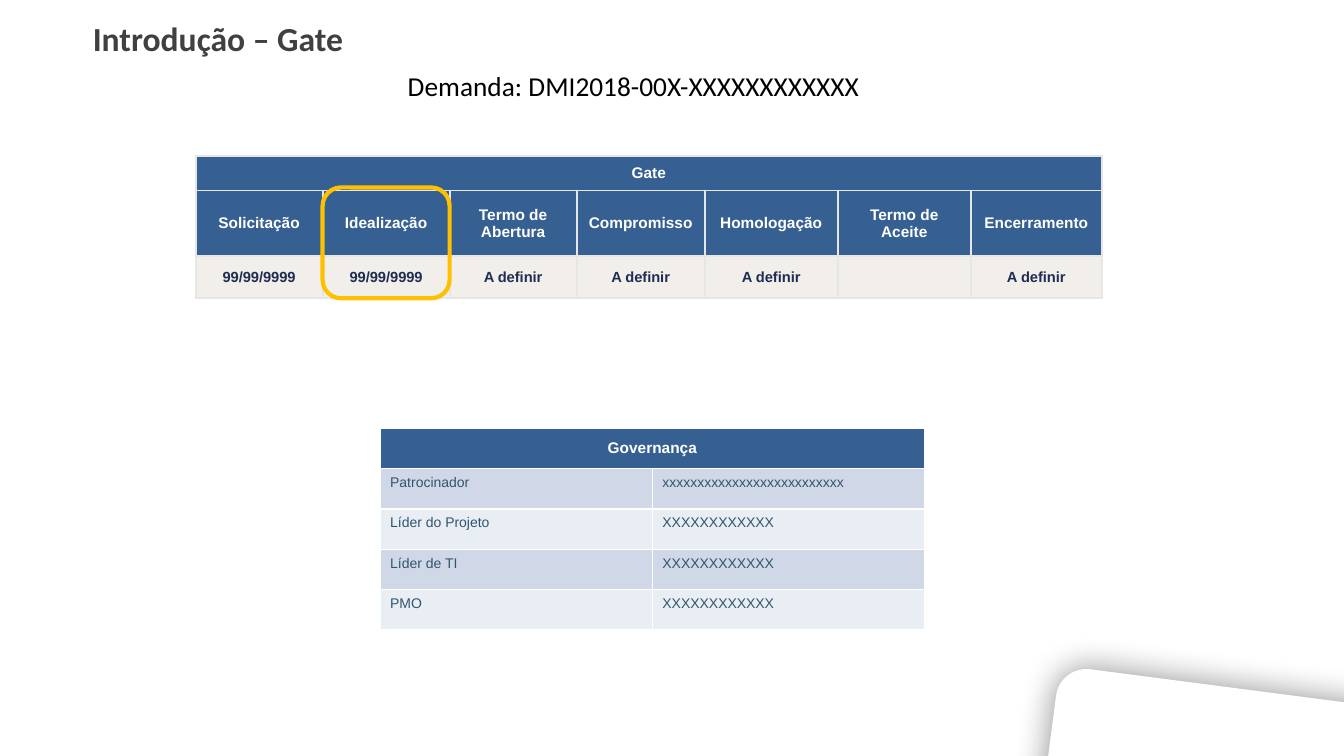
from lxml.etree import SubElement
from pptx import Presentation
from pptx.dml.color import RGBColor
from pptx.enum.shapes import MSO_SHAPE as SHAPE
from pptx.enum.text import MSO_ANCHOR as ANCHOR, MSO_AUTO_SIZE as AUTO, PP_ALIGN as ALIGN
from pptx.oxml.ns import qn
from pptx.util import Inches, Pt

WIDTH, HEIGHT = 13.33, 7.5
NAVY, WHITE = "376092", "FFFFFF"

GATES = ["Solicitação", "Idealização", "Termo de Abertura", "Compromisso",
         "Homologação", "Termo de Aceite", "Encerramento"]
DATES = ["99/99/9999"] * 2 + ["A definir"] * 3 + ["", "A definir"]
GATE_COLS = [1.26, 1.26, 1.26, 1.27, 1.32, 1.32, 1.3]
GATE_ROWS = [0.34, 0.65, 0.42]
CURRENT_GATE = GATES.index("Idealização")

GOVERNANCE = [
    ("Patrocinador", "xxxxxxxxxxxxxxxxxxxxxxxxxx"),
    ("Líder do Projeto", "XXXXXXXXXXXX"),
    ("Líder de TI", "XXXXXXXXXXXX"),
    ("PMO", "XXXXXXXXXXXX"),
]


def rgb(color):
    return RGBColor.from_string(color)


def box(x, y, w, h):
    return [Inches(v) for v in (x, y, w, h)]


def write(tf, text, size, color, font, bold=False, align=ALIGN.LEFT):
    tf.text = text
    p = tf.paragraphs[0]
    p.alignment = align
    for r in p.runs:
        r.font.size, r.font.name, r.font.bold = Pt(size), font, bold
        r.font.color.rgb = rgb(color)


def border_cell(cell, color, width):
    tcPr = cell._tc.get_or_add_tcPr()
    for side in ("lnL", "lnR", "lnT", "lnB"):
        ln = SubElement(tcPr, qn(f"a:{side}"), w=str(Pt(width)))
        fill = SubElement(ln, qn("a:solidFill"))
        SubElement(fill, qn("a:srgbClr"), val=color)


def add_grid(s, x, y, cols, rows, border, border_width):
    frame = s.shapes.add_table(len(rows), len(cols), *box(x, y, sum(cols), sum(rows)))
    table = frame.table
    table.horz_banding = table.first_row = False
    for column, width in zip(table.columns, cols):
        column.width = Inches(width)
    for row, height in zip(table.rows, rows):
        row.height = Inches(height)
    for cell in table.iter_cells():
        border_cell(cell, border, border_width)
    table.cell(0, 0).merge(table.cell(0, len(cols) - 1))
    return table


def fill_cell(cell, text, fill, size, color, bold=True, align=ALIGN.CENTER, anchor=ANCHOR.MIDDLE):
    cell.fill.solid()
    cell.fill.fore_color.rgb = rgb(fill)
    if text:
        cell.margin_left = cell.margin_right = Inches(0.1)
        cell.margin_top = cell.margin_bottom = Inches(0.06)
        cell.vertical_anchor = anchor
        write(cell.text_frame, text, size, color, "Arial", bold, align)


def add_corner_card(s, x, y, w, h):
    card = s.shapes.add_shape(SHAPE.ROUNDED_RECTANGLE, *box(x, y, w, h))
    card.rotation = 7.4
    card.fill.solid()
    card.fill.fore_color.rgb = rgb(WHITE)
    card.line.fill.background()
    card.shadow.inherit = False
    effects = card._element.spPr.find(qn("a:effectLst"))
    shadow = SubElement(effects, qn("a:outerShdw"), blurRad=str(Pt(25)),
                        dist="0", dir="0", algn="ctr", rotWithShape="0")
    black = SubElement(shadow, qn("a:srgbClr"), val="000000")
    SubElement(black, qn("a:alpha"), val="43000")


def add_heading(s, x, y, w, h):
    title = s.shapes.title
    title.left, title.top, title.width, title.height = box(x, y, w, h)
    tf = title.text_frame
    write(tf, "Introdução – Gate", 24, "404040", "Calibri", bold=True)
    tf.word_wrap = False
    tf.auto_size = AUTO.SHAPE_TO_FIT_TEXT
    tf.vertical_anchor = ANCHOR.TOP


def add_demand(s, x, y, w, h):
    tf = s.shapes.add_textbox(*box(x, y, w, h)).text_frame
    tf.word_wrap = True
    tf.margin_left = tf.margin_right = tf.margin_top = tf.margin_bottom = 0
    write(tf, "Demanda: DMI2018-00X-XXXXXXXXXXXX", 19.5, "000000", "Calibri", align=ALIGN.CENTER)


def add_gates(s, x, y):
    table = add_grid(s, x, y, GATE_COLS, GATE_ROWS, "E6E6E6", 1.5)
    fill_cell(table.cell(0, 0), "Gate", NAVY, 11, WHITE)
    for c, (gate, date) in enumerate(zip(GATES, DATES)):
        fill_cell(table.cell(1, c), gate, NAVY, 11, WHITE)
        fill_cell(table.cell(2, c), date, "F2EFEA", 10.5, "1F2C53")


def add_gate_marker(s, x, y):
    left = x + sum(GATE_COLS[:CURRENT_GATE])
    height = 1.1
    top = y + sum(GATE_ROWS) - height
    marker = s.shapes.add_shape(SHAPE.ROUNDED_RECTANGLE,
                                *box(left, top, GATE_COLS[CURRENT_GATE], height))
    marker.fill.background()
    marker.line.color.rgb = rgb("FFC000")
    marker.line.width = Pt(3)
    marker.shadow.inherit = False


def add_governance(s, x, y, w, h):
    rows = len(GOVERNANCE) + 1
    table = add_grid(s, x, y, [w / 2] * 2, [h / rows] * rows, WHITE, 1)
    fill_cell(table.cell(0, 0), "Governança", NAVY, 11, WHITE)
    for i, row in enumerate(GOVERNANCE):
        for c, text in enumerate(row):
            fill_cell(table.cell(i + 1, c), text, ("D0D8E8", "E9EDF4")[i % 2], 10, "32556E",
                      bold=False, align=ALIGN.LEFT, anchor=ANCHOR.TOP)


def main():
    prs = Presentation()
    prs.slide_width, prs.slide_height = Inches(WIDTH), Inches(HEIGHT)
    s = prs.slides.add_slide(prs.slide_layouts[5])
    add_corner_card(s, 10.38, 6.83, 3.68, 1.83)
    add_heading(s, 0.82, 0.13, 2.71, 0.5)
    add_gates(s, 1.94, 1.55)
    add_governance(s, 3.77, 4.25, 5.4, 2)
    add_demand(s, 2.41, 0.69, 7.75, 0.76)
    add_gate_marker(s, 1.94, 1.55)
    prs.save("out.pptx")


if __name__ == "__main__":
    main()
